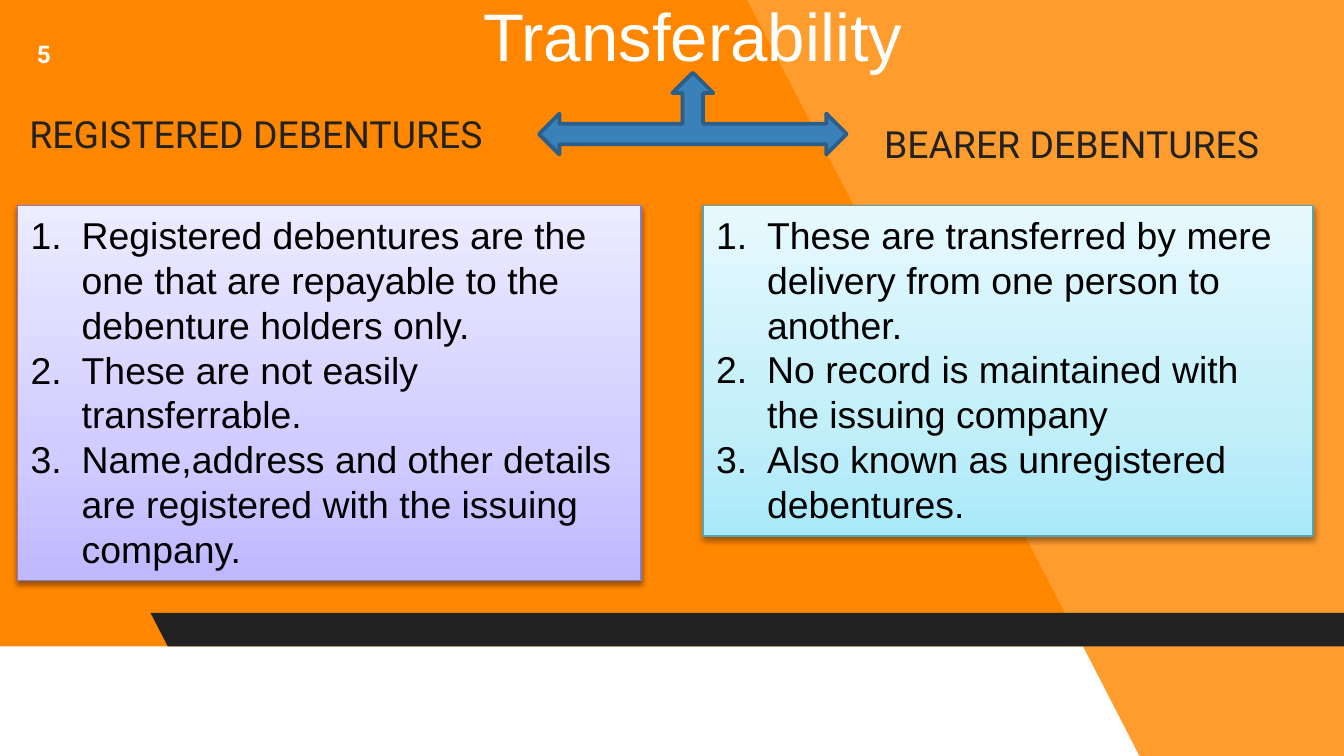
from dataclasses import dataclass

from pptx import Presentation
from pptx import util as u
from pptx.dml.color import RGBColor
from pptx.enum import shapes, text
from pptx.oxml import parse_xml
from pptx.oxml.ns import nsdecls, qn


@dataclass(frozen=True)
class Theme:
    background: str = "FF8700"
    white: str = "FFFFFF"
    dark: str = "222222"
    black: str = "000000"
    arrow: str = "3A81BA"
    arrow_line: str = "2B5F8A"
    violet: tuple = ("BFB8FF", "D1CCFF", "EDEBFF")
    violet_line: str = "867CCF"
    cyan: tuple = ("A9E9F9", "C3EFF9", "E7F9FE")
    cyan_line: str = "53A5B3"
    body_font: str = "Arial"
    label_font: str = "Roboto"
    title_size: int = 36
    body_size: int = 20
    number_size: int = 13


def write(frame, lines, *, font, size, color, bold=False, align="LEFT",
          anchor="TOP", inset=0.1, numbered=False):
    """Fill a text frame with one paragraph per line."""
    frame.word_wrap = True
    frame.auto_size = text.MSO_AUTO_SIZE.NONE
    frame.vertical_anchor = text.MSO_ANCHOR[anchor]
    frame.margin_left = frame.margin_right = u.Inches(0.1)
    frame.margin_top = frame.margin_bottom = u.Inches(inset)
    for index, line in enumerate(lines):
        para = frame.add_paragraph() if index else frame.paragraphs[0]
        para.alignment = text.PP_ALIGN[align]
        span = para.add_run()
        span.text = line
        span.font.name, span.font.size, span.font.bold = font, u.Pt(size), bold
        span.font.color.rgb = RGBColor.from_string(color)
        if numbered:
            number(para, color)


def number(para, color, indent=0.38):
    """Give a paragraph an automatic number with a hanging indent."""
    props = para._p.get_or_add_pPr()
    props.set("marL", str(u.Inches(indent)))
    props.set("indent", str(-u.Inches(indent)))
    props.append(parse_xml(f'<a:buClr {nsdecls("a")}><a:srgbClr val="{color}"/></a:buClr>'))
    props.append(parse_xml(f'<a:buAutoNum {nsdecls("a")} type="arabicPeriod"/>'))


class SlideBuilder:
    def __init__(self, deck, theme):
        self.theme = theme
        self.page = deck.slides.add_slide(deck.slide_layouts[5])
        self.page.background.fill.solid()
        self.page.background.fill.fore_color.rgb = RGBColor.from_string(theme.background)

    def paint(self, shape, fill, line=None, width=0):
        shape.shadow.inherit = False
        shape.fill.solid()
        shape.fill.fore_color.rgb = RGBColor.from_string(fill)
        if line:
            shape.line.color.rgb = RGBColor.from_string(line)
            shape.line.width = u.Pt(width)
        else:
            shape.line.fill.background()
        return shape

    def shape(self, kind, place, fill, line=None, width=0):
        shape = self.page.shapes.add_shape(shapes.MSO_SHAPE[kind], *map(u.Inches, place))
        return self.paint(shape, fill, line, width)

    def slanted_band(self, place, fill):
        band = self.shape("PARALLELOGRAM", place, fill)
        band.adjustments[0] = 0.515
        band._element.spPr.find(qn("a:xfrm")).set("flipH", "1")

    def translucent_panel(self, corners, fill, opacity):
        points = [(u.Inches(x), u.Inches(y)) for x, y in corners]
        outline = self.page.shapes.build_freeform(*points[0])
        outline.add_line_segments(points[1:], close=True)
        panel = self.paint(outline.convert_to_shape(), fill)
        color = panel._element.spPr.find(qn("a:solidFill"))[0]
        color.append(parse_xml(f'<a:alpha {nsdecls("a")} val="{opacity * 1000}"/>'))

    def title(self, words, place):
        title = self.page.shapes.title
        title.left, title.top, title.width, title.height = map(u.Inches, place)
        write(title.text_frame, [words], font=self.theme.body_font,
              size=self.theme.title_size, color=self.theme.white,
              align="CENTER", anchor="BOTTOM")
        # Bring the title in front of the backdrop
        self.page.shapes._spTree.append(title._element)

    def label(self, words, place, **style):
        box = self.page.shapes.add_textbox(*map(u.Inches, place))
        write(box.text_frame, [words], font=self.theme.label_font, **style)

    def card(self, lines, place, stops, line):
        card = self.shape("RECTANGLE", place, stops[0], line, 0.75)
        props = card._element.spPr
        marks = "".join(f'<a:gs pos="{at}000"><a:srgbClr val="{color}"/></a:gs>'
                        for at, color in zip((0, 35, 100), stops))
        gradient = parse_xml(f'<a:gradFill {nsdecls("a")} rotWithShape="1"><a:gsLst>{marks}'
                             '</a:gsLst><a:lin ang="16200000" scaled="0"/></a:gradFill>')
        props.replace(props.find(qn("a:solidFill")), gradient)
        props.find(qn("a:effectLst")).append(parse_xml(
            f'<a:outerShdw {nsdecls("a")} blurRad="{u.Pt(3.1)}" dist="{u.Pt(1.6)}" '
            f'dir="5400000" rotWithShape="0"><a:srgbClr val="{self.theme.black}">'
            '<a:alpha val="38000"/></a:srgbClr></a:outerShdw>'))
        write(card.text_frame, lines, font=self.theme.body_font,
              size=self.theme.body_size, color=self.theme.black,
              inset=0.05, numbered=True)


def main():
    theme = Theme()
    deck = Presentation()
    deck.slide_width = u.Inches(10)
    deck.slide_height = deck.slide_width * 9 // 16
    slide = SlideBuilder(deck, theme)

    # Backdrop
    slide.translucent_panel([(5.56, 0), (8.5, 5.67), (10.06, 5.67), (10.06, -0.04)],
                            theme.white, 18)
    slide.slanted_band((-0.46, 4.81, 8.94, 0.82), theme.white)
    slide.slanted_band((1.12, 4.56, 9.15, 0.25), theme.dark)

    # Heading, slide number and the two branches
    slide.title("Transferability", (2.3, 0, 5.71, 0.66))
    slide.label("5", (0, 0, 0.65, 0.8), size=theme.number_size, color=theme.white,
                bold=True, align="CENTER", anchor="MIDDLE")
    slide.shape("LEFT_RIGHT_UP_ARROW", (4.01, 0.54, 2.29, 0.61),
                theme.arrow, theme.arrow_line, 2)
    for words, left, top, width in (("REGISTERED DEBENTURES", 0.12, 0.73, 3.66),
                                    ("BEARER DEBENTURES", 6.48, 0.8, 3.5)):
        slide.label(words, (left, top, width, 0.62), size=theme.body_size, color=theme.dark)

    # Comparison cards
    slide.card(["Registered debentures are the one that are repayable to the "
                "debenture holders only.",
                "These are not easily transferrable.",
                "Name,address and other details are registered with the issuing company."],
               (0.13, 1.53, 4.64, 2.79), theme.violet, theme.violet_line)
    slide.card(["These are transferred by mere delivery from one person to another.",
                "No record is maintained with the issuing company",
                "Also known as unregistered debentures."],
               (5.23, 1.53, 4.54, 2.46), theme.cyan, theme.cyan_line)

    deck.save("out.pptx")


if __name__ == "__main__":
    main()
